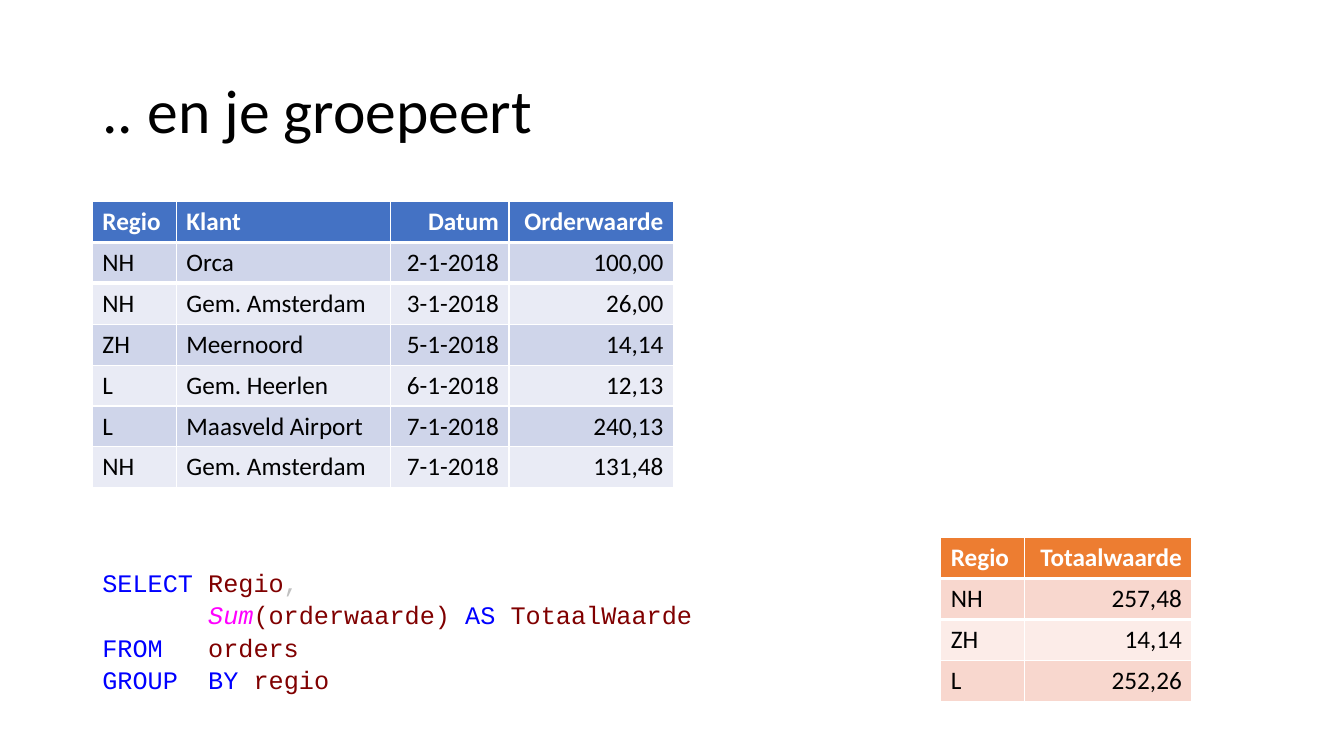
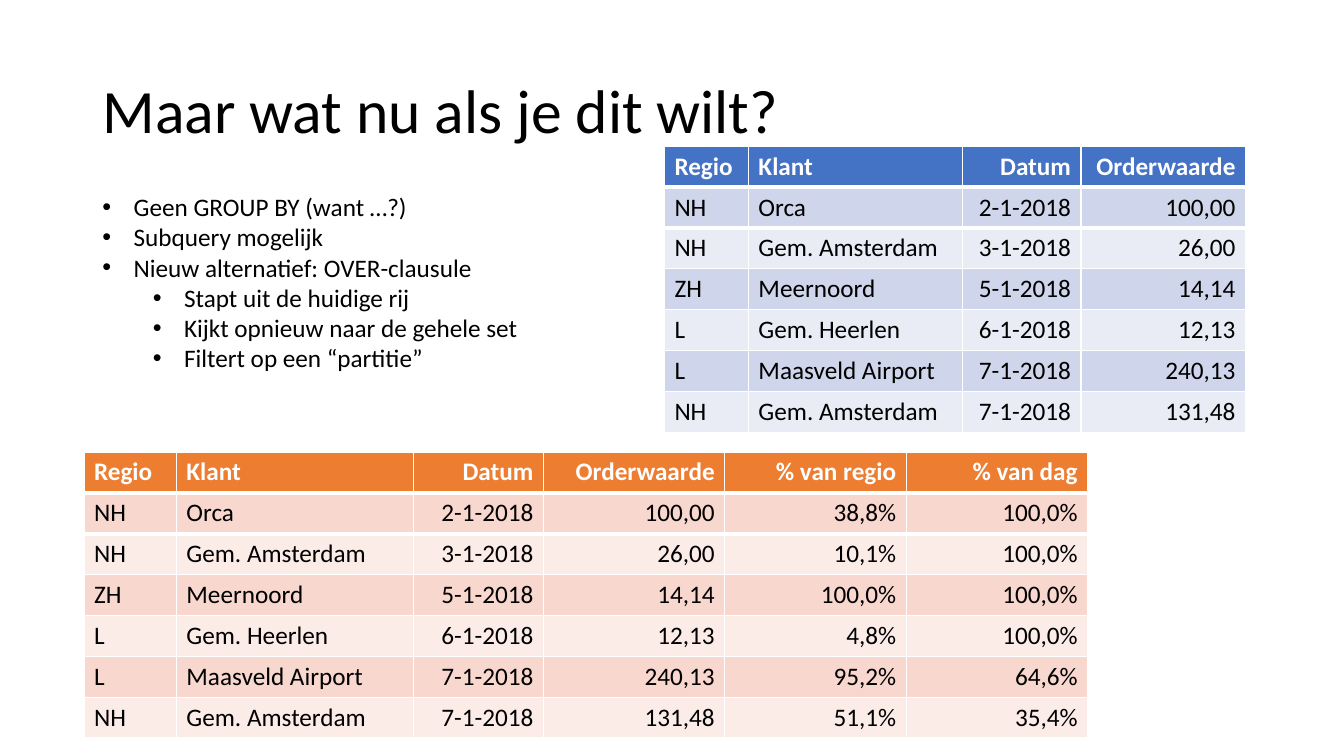
from pptx import Presentation
from pptx.dml.color import RGBColor
from pptx.enum.text import MSO_ANCHOR, MSO_AUTO_SIZE, PP_ALIGN
from pptx.oxml.xmlchemy import OxmlElement
from pptx.util import Inches, Pt

GRID_COLS, GRID_ROWS = 160, 90
CELL = Inches(1) / 12
TABLE_ROW = 4.87
LEFT = 11

FONT, CODE_FONT = "Calibri", "Courier New"
TEXT_SIZE, TITLE_SIZE = 18, 44

COLORS = {
    "text": "000000",
    "header_text": "FFFFFF",
    "rule": "FFFFFF",
    "keyword": "0000FF",
    "name": "800000",
    "function": "FF00FF",
    "comma": "C0C0C0",
}
BLUE = {"header": "4472C4", "odd": "CFD5EA", "even": "E9EBF5"}
ORANGE = {"header": "ED7D31", "odd": "F8D7CE", "even": "FCECE8"}

ORDER_HEADER = ["Regio", "Klant", "Datum", "Orderwaarde"]
ORDERS = [
    ["NH", "Orca", "2-1-2018", "100,00"],
    ["NH", "Gem. Amsterdam", "3-1-2018", "26,00"],
    ["ZH", "Meernoord", "5-1-2018", "14,14"],
    ["L", "Gem. Heerlen", "6-1-2018", "12,13"],
    ["L", "Maasveld Airport", "7-1-2018", "240,13"],
    ["NH", "Gem. Amsterdam", "7-1-2018", "131,48"],
]
ORDER_COLS = [10, 25.5, 14.1, 19.6]
TOTALS = [["NH", "257,48"], ["ZH", "14,14"], ["L", "252,26"]]
SHARES = [
    ["38,8%", "100,0%"],
    ["10,1%", "100,0%"],
    ["100,0%", "100,0%"],
    ["4,8%", "100,0%"],
    ["95,2%", "64,6%"],
    ["51,1%", "35,4%"],
]
QUERY = [
    [("SELECT ", "keyword"), ("Regio", "name"), (", ", "comma")],
    [("       ", "comma"), ("Sum", "function"), ("(orderwaarde) ", "name"),
     ("AS ", "keyword"), ("TotaalWaarde ", "name")],
    [("FROM   ", "keyword"), ("orders ", "name")],
    [("GROUP  BY ", "keyword"), ("regio ", "name")],
]
POINTS = [
    ("Geen GROUP BY (want …?)", 0),
    ("Subquery mogelijk", 0),
    ("Nieuw alternatief: OVER-clausule", 0),
    ("Stapt uit de huidige rij", 1),
    ("Kijkt opnieuw naar de gehele set", 1),
    ("Filtert op een “partitie”", 1),
]


def grid(*cells):
    return [round(n * CELL) for n in cells]


def rgb(value):
    return RGBColor.from_string(value)


def style_run(r, color="text", size=TEXT_SIZE, font=FONT, bold=False):
    r.font.name = font
    r.font.size = Pt(size)
    r.font.bold = bold
    r.font.color.rgb = rgb(COLORS[color])


def place(sp, *cells):
    sp.left, sp.top, sp.width, sp.height = grid(*cells)
    sp.text_frame.auto_size = MSO_AUTO_SIZE.NONE
    sp.text_frame.word_wrap = True


def add_slide(prs, layout, title):
    s = prs.slides.add_slide(prs.slide_layouts.get_by_name(layout))
    sp = s.shapes.title
    place(sp, LEFT, 4.8, 138, 17.4)
    tf = sp.text_frame
    tf.text = title
    tf.vertical_anchor = MSO_ANCHOR.MIDDLE
    p = tf.paragraphs[0]
    p.alignment = PP_ALIGN.LEFT
    p.line_spacing = 0.9
    style_run(p.runs[0], size=TITLE_SIZE)
    return s


def set_rule(cell, side, width):
    line = OxmlElement(side)
    line.set("w", str(Pt(width)))
    fill = OxmlElement("a:solidFill")
    color = OxmlElement("a:srgbClr")
    color.set("val", COLORS["rule"])
    fill.append(color)
    line.append(fill)
    cell._tc.get_or_add_tcPr().insert(0, line)


def add_data_table(s, left, top, widths, header, body, palette, text_cols):
    rows = [header] + body
    frame = s.shapes.add_table(
        len(rows), len(widths),
        *grid(left, top, sum(widths), TABLE_ROW * len(rows)))
    table = frame.table
    for column, width in zip(table.columns, grid(*widths)):
        column.width = width
    for i, row in enumerate(rows):
        band = "header" if i == 0 else ("odd" if i % 2 else "even")
        for j, value in enumerate(row):
            cell = table.cell(i, j)
            cell.fill.solid()
            cell.fill.fore_color.rgb = rgb(palette[band])
            if i < 2:
                set_rule(cell, "a:lnT" if i else "a:lnB", 3)
            cell.text_frame.text = value
            p = cell.text_frame.paragraphs[0]
            p.alignment = PP_ALIGN.LEFT if j < text_cols else PP_ALIGN.RIGHT
            style_run(p.runs[0], "text" if i else "header_text", bold=i == 0)


def add_orders(s, left, top):
    add_data_table(s, left, top, ORDER_COLS, ORDER_HEADER, ORDERS, BLUE, 2)


def add_code(s, lines, *cells):
    sp = s.shapes.add_textbox(*grid(*cells))
    place(sp, *cells)
    p = sp.text_frame.paragraphs[0]
    p.line_spacing = 1.07
    p.space_after = Pt(8)
    for i, line in enumerate(lines):
        if i:
            p.add_line_break()
        for text, color in line:
            r = p.add_run()
            r.text = text.replace(" ", "\u00a0")
            style_run(r, color, font=CODE_FONT)
            r.font.italic = color == "function"


def set_bullet(p, margin, hanging):
    pPr = p._p.get_or_add_pPr()
    pPr.set("marL", str(Inches(margin)))
    pPr.set("indent", str(-Inches(hanging)))
    bullet = OxmlElement("a:buChar")
    bullet.set("char", "•")
    pPr.append(bullet)


def fill_list(sp, points, *cells):
    place(sp, *cells)
    tf = sp.text_frame
    tf.text = "\n".join(text for text, level in points)
    for p, (text, level) in zip(tf.paragraphs, points):
        p.level = level
        p.space_before = Pt(0)
        set_bullet(p, 0.31 + 0.5 * level, 0.31)
        style_run(p.runs[0])


def build_grouping(prs):
    s = add_slide(prs, "Title Only", ".. en je groepeert")
    add_orders(s, LEFT, 24)
    add_code(s, QUERY, LEFT, 66.7, 80, 16.7)
    add_data_table(s, 112, 64, [10, 19.9], ["Regio", "Totaalwaarde"],
                   TOTALS, ORANGE, 1)


def build_shares(prs):
    s = add_slide(prs, "Title and Content", "Maar wat nu als je dit wilt?")
    add_orders(s, 79.1, 17.4)
    add_data_table(s, 10, 53.8, [11, 28.2, 15.5] + [21.6] * 3,
                   ORDER_HEADER + ["% van regio", "% van dag"],
                   [order + share for order, share in zip(ORDERS, SHARES)],
                   ORANGE, 2)
    fill_list(s.placeholders[1], POINTS, LEFT, 22.2, 70, 26.6)


def main():
    prs = Presentation()
    prs.slide_width, prs.slide_height = grid(GRID_COLS, GRID_ROWS)
    build_grouping(prs)
    build_shares(prs)
    prs.save("out.pptx")


main()
